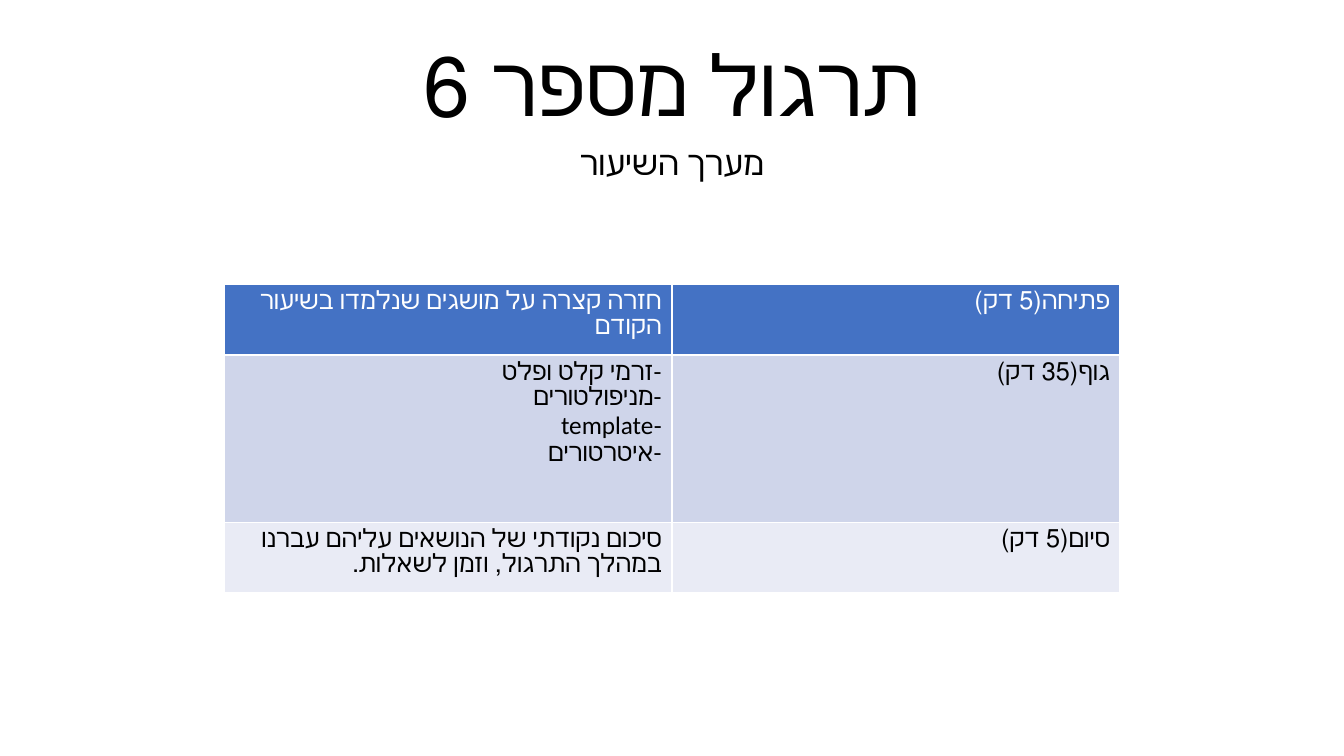
from dataclasses import dataclass

from lxml.etree import SubElement
from pptx import Presentation
from pptx.dml.color import RGBColor
from pptx.enum.text import MSO_ANCHOR, PP_ALIGN
from pptx.oxml.ns import qn
from pptx.util import Pt


@dataclass(frozen=True)
class Theme:
    font: str = "Calibri"
    ink: str = "000000"
    paper: str = "FFFFFF"
    header: str = "4472C4"
    bands: tuple = ("CFD5EA", "E9EBF5")
    title_size: int = 60
    subtitle_size: int = 24
    cell_size: int = 18
    border: int = 1


THEME = Theme()

LESSON_PLAN = [
    ("חזרה קצרה על מושגים שנלמדו בשיעור הקודם", "פתיחה(5 דק)"),
    ("-זרמי קלט ופלט\v-מניפולטורים\v-template\v-איטרטורים", "גוף(35 דק)"),
    ("סיכום נקודתי של הנושאים עליהם עברנו במהלך התרגול, וזמן לשאלות.", "סיום(5 דק)"),
]
ROW_HEIGHTS = (43.2, 119.5, 43.2)


def write_rtl(tf, text, size, color, **paragraph_format):
    tf.word_wrap = True
    tf.text = text
    p = tf.paragraphs[0]
    for name, value in paragraph_format.items():
        setattr(p, name, value)
    p._p.get_or_add_pPr().set("rtl", "1")
    for r in p.runs:
        font_format = {"name": THEME.font, "size": Pt(size), "bold": False}
        for name, value in font_format.items():
            setattr(r.font, name, value)
        r.font.color.rgb = RGBColor.from_string(color)


def add_heading(s, box, text, size, anchor, **paragraph_format):
    tf = s.shapes.add_textbox(*map(Pt, box)).text_frame
    write_rtl(tf, text, size, THEME.ink, alignment=PP_ALIGN.CENTER,
              line_spacing=0.9, **paragraph_format)
    tf.vertical_anchor = anchor


def add_borders(cell):
    tcPr = cell._tc.get_or_add_tcPr()
    for index, side in enumerate(("lnL", "lnR", "lnT", "lnB")):
        ln = tcPr.makeelement(qn(f"a:{side}"), {"w": str(Pt(THEME.border))})
        fill = SubElement(ln, qn("a:solidFill"))
        SubElement(fill, qn("a:srgbClr"), val=THEME.paper)
        tcPr.insert(index, ln)


def add_lesson_table(s, box, rows, heights):
    left, top, width = box
    table = s.shapes.add_table(len(rows), len(rows[0]), Pt(left), Pt(top),
                               Pt(width), Pt(sum(heights))).table
    for column in table.columns:
        column.width = Pt(width / len(rows[0]))
    for i, (texts, height) in enumerate(zip(rows, heights)):
        table.rows[i].height = Pt(height)
        fill = THEME.bands[(i - 1) % 2] if i else THEME.header
        color = THEME.ink if i else THEME.paper
        for j, text in enumerate(texts):
            cell = table.cell(i, j)
            cell.fill.solid()
            cell.fill.fore_color.rgb = RGBColor.from_string(fill)
            add_borders(cell)
            write_rtl(cell.text_frame, text, THEME.cell_size, color,
                      alignment=PP_ALIGN.RIGHT)


def main():
    prs = Presentation()
    prs.slide_width, prs.slide_height = Pt(960), Pt(540)
    s = prs.slides.add_slide(prs.slide_layouts[6])
    add_heading(s, (120, -88, 720, 188), "תרגול מספר 6",
                THEME.title_size, MSO_ANCHOR.BOTTOM)
    add_heading(s, (120, 100.8, 720, 130.4), "מערך השיעור",
                THEME.subtitle_size, MSO_ANCHOR.TOP, space_before=Pt(10))
    add_lesson_table(s, (160, 203.2, 640), LESSON_PLAN, ROW_HEIGHTS)
    prs.save("out.pptx")


if __name__ == "__main__":
    main()
